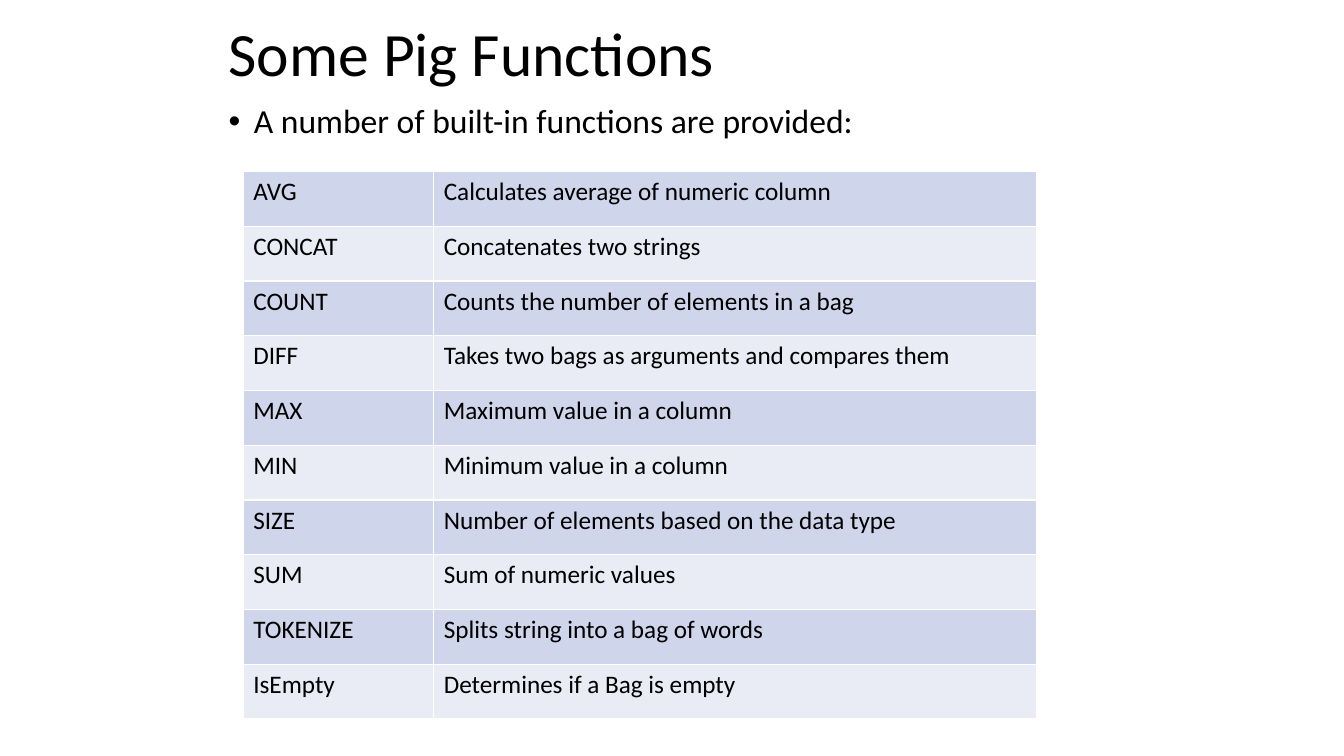
import dataclasses

import lxml.etree
import pptx
import pptx.dml.color
import pptx.enum.text
import pptx.oxml.ns
import pptx.util

Cm, Pt = pptx.util.Cm, pptx.util.Pt
RGB = pptx.dml.color.RGBColor.from_string
qn = pptx.oxml.ns.qn


@dataclasses.dataclass(frozen=True)
class Theme:
    font: str = "Calibri"
    text: str = "000000"
    bands: tuple = ("CFD5EA", "E9EBF5")
    border: str = "FFFFFF"
    title: int = 44
    body: int = 24
    cell: int = 18


THEME = Theme()

FUNCTIONS = [
    ("AVG", "Calculates average of numeric column"),
    ("CONCAT", "Concatenates two strings"),
    ("COUNT", "Counts the number of elements in a bag"),
    ("DIFF", "Takes two bags as arguments and compares them"),
    ("MAX", "Maximum value in a column"),
    ("MIN", "Minimum value in a column"),
    ("SIZE", "Number of elements based on the data type"),
    ("SUM", "Sum of numeric values"),
    ("TOKENIZE", "Splits string into a bag of words"),
    ("IsEmpty", "Determines if a Bag is empty"),
]


def format_text(p, size):
    p.alignment = pptx.enum.text.PP_ALIGN.LEFT
    for r in p.runs:
        r.font.name = THEME.font
        r.font.size = Pt(size)
        r.font.color.rgb = RGB(THEME.text)


def add_title(s, text, left, top, width, height):
    sp = s.shapes.title
    sp.left, sp.top, sp.width, sp.height = left, top, width, height
    tf = sp.text_frame
    tf.text = text
    tf.word_wrap = True
    tf.auto_size = pptx.enum.text.MSO_AUTO_SIZE.NONE
    tf.vertical_anchor = pptx.enum.text.MSO_ANCHOR.MIDDLE
    p = tf.paragraphs[0]
    p.line_spacing = 0.9
    format_text(p, THEME.title)


def add_bullet(s, text, left, top, width, height):
    tf = s.shapes.add_textbox(left, top, width, height).text_frame
    tf.word_wrap = True
    p = tf.paragraphs[0]
    p.text = text
    # Hanging bullet
    pPr = p._p.get_or_add_pPr()
    indent = Cm(0.64)
    pPr.set("marL", str(indent))
    pPr.set("indent", str(-indent))
    lxml.etree.SubElement(pPr, qn("a:buFont"), typeface="Arial")
    lxml.etree.SubElement(pPr, qn("a:buChar"), char="•")
    p.line_spacing = 0.9
    format_text(p, THEME.body)


def add_borders(cell):
    tcPr = cell._tc.get_or_add_tcPr()
    for side in ("a:lnL", "a:lnR", "a:lnT", "a:lnB"):
        ln = lxml.etree.SubElement(tcPr, qn(side), w=str(Pt(1)))
        fill = lxml.etree.SubElement(ln, qn("a:solidFill"))
        lxml.etree.SubElement(fill, qn("a:srgbClr"), val=THEME.border)


def add_function_table(s, rows, left, top, width, height):
    table = s.shapes.add_table(len(rows), 2, left, top, width, height).table
    table.first_row = table.horz_banding = False
    table.columns[0].width = Cm(4.8)
    table.columns[1].width = width - Cm(4.8)
    for i, row in enumerate(rows):
        for j, text in enumerate(row):
            cell = table.cell(i, j)
            cell.text = text
            format_text(cell.text_frame.paragraphs[0], THEME.cell)
            add_borders(cell)
            cell.fill.solid()
            cell.fill.fore_color.rgb = RGB(THEME.bands[i % 2])


def main():
    prs = pptx.Presentation()
    prs.slide_width, prs.slide_height = Cm(33.87), Cm(19.05)
    s = prs.slides.add_slide(prs.slide_layouts.get_by_name("Title Only"))
    # Heading and introduction share a left edge and width
    left, width = Cm(5.51), Cm(22.86)
    add_title(s, "Some Pig Functions", left, Cm(0.33), width, Cm(2.21))
    add_bullet(s, "A number of built-in functions are provided:",
               left, Cm(2.51), width, Cm(1.19))
    # Function reference
    add_function_table(s, FUNCTIONS, Cm(6.13), Cm(4.32), Cm(19.99), Cm(13.8))
    prs.save("out.pptx")


if __name__ == "__main__":
    main()
